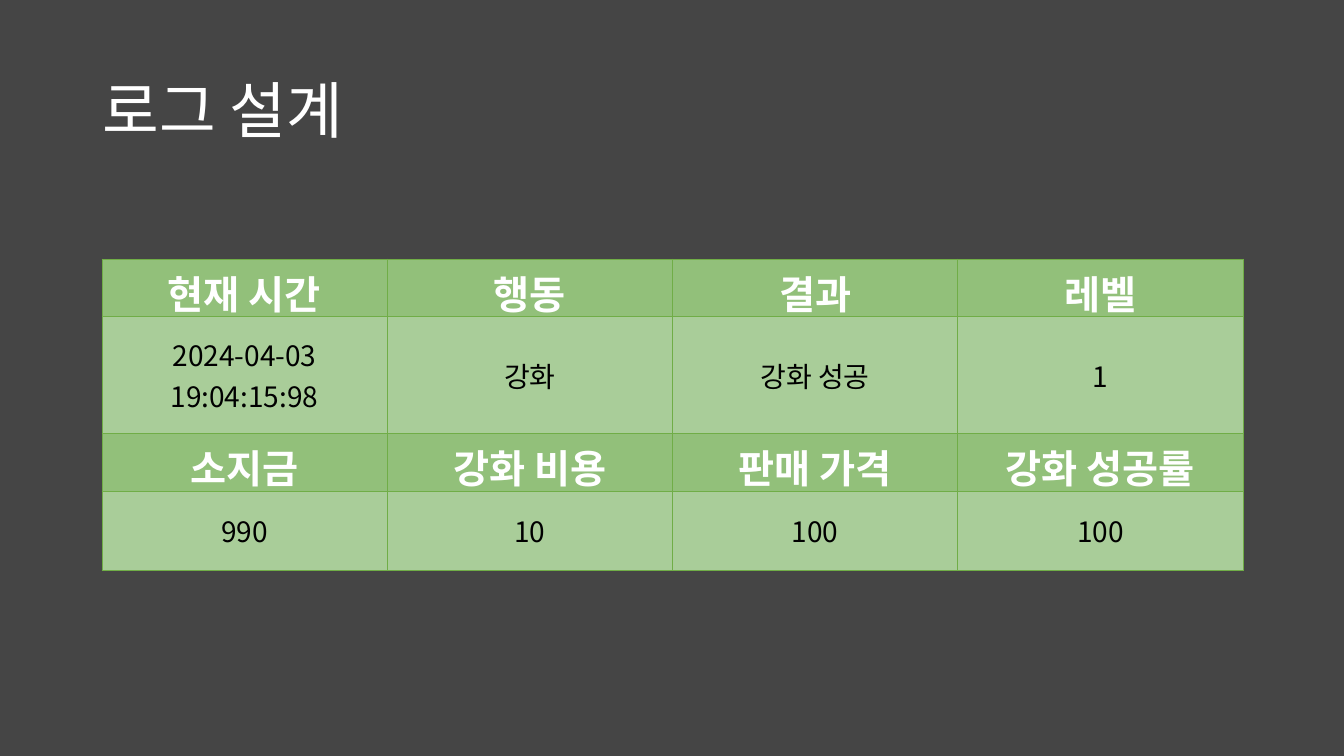
"""Build the log design slide with its table of log fields."""
from dataclasses import dataclass

from lxml.etree import SubElement
from pptx import Presentation
from pptx.dml.color import RGBColor as RGB
from pptx.enum.text import MSO_ANCHOR as Anchor, PP_ALIGN as Align
from pptx.oxml import parse_xml
from pptx.oxml.ns import nsdecls, qn
from pptx.util import Inches, Pt


@dataclass(frozen=True)
class TextStyle:
    size: int
    font: str
    color: str
    bold: bool = False


@dataclass(frozen=True)
class Theme:
    background: str = "454545"
    border: str = "70AD47"
    border_width: float = 0.5
    east_asian: str = "Noto Sans CJK KR"
    title: TextStyle = TextStyle(44, "Roboto", "FFFFFF")
    label: TextStyle = TextStyle(28, "Roboto", "FFFFFF", True)
    value: TextStyle = TextStyle(20, "Noto Sans CJK KR", "000000")


@dataclass(frozen=True)
class LogRow:
    height: float
    fill: str
    style: TextStyle
    texts: tuple[str, ...]


THEME = Theme()
LABEL_FILL, VALUE_FILL = "92C07A", "A9CD99"
LABEL_HEIGHT, COLUMN_WIDTH = 0.57, 2.83
LOG_ROWS = (
    LogRow(LABEL_HEIGHT, LABEL_FILL, THEME.label, ("현재 시간", "행동", "결과", "레벨")),
    LogRow(1.16, VALUE_FILL, THEME.value,
           ("2024-04-03 19:04:15:98", "강화", "강화 성공", "1")),
    LogRow(LABEL_HEIGHT, LABEL_FILL, THEME.label,
           ("소지금", "강화 비용", "판매 가격", "강화 성공률")),
    LogRow(0.79, VALUE_FILL, THEME.value, ("990", "10", "100", "100")),
)


def write_text(tf, text: str, style: TextStyle, paragraph_format: dict) -> None:
    """Write one styled paragraph into a text frame."""
    p = tf.paragraphs[0]
    for name, value in paragraph_format.items():
        setattr(p, name, value)
    r = p.add_run()
    r.text = text
    font_format = {"size": Pt(style.size), "name": style.font, "bold": style.bold}
    for name, value in font_format.items():
        setattr(r.font, name, value)
    r.font.color.rgb = RGB.from_string(style.color)
    SubElement(r.font._element, qn("a:ea"), typeface=THEME.east_asian)


def add_borders(cell) -> None:
    """Put a thin line on each side of a cell."""
    tc_pr = cell._tc.get_or_add_tcPr()
    for index, side in enumerate("LRTB"):
        tc_pr.insert(index, parse_xml(
            f'<a:ln{side} {nsdecls("a")} w="{Pt(THEME.border_width)}"><a:solidFill>'
            f'<a:srgbClr val="{THEME.border}"/></a:solidFill></a:ln{side}>'))


def add_title(s, text: str) -> None:
    """Add the slide title."""
    tf = s.shapes.add_textbox(
        Inches(0.92), Inches(0.4), Inches(11.5), Inches(1.45)).text_frame
    tf.word_wrap = True
    tf.vertical_anchor = Anchor.MIDDLE
    write_text(tf, text, THEME.title, {"line_spacing": 0.9})


def add_log_table(s, rows: tuple[LogRow, ...]) -> None:
    """Add the table of alternating label and value rows."""
    columns = len(rows[0].texts)
    table = s.shapes.add_table(
        len(rows), columns, Inches(1.01), Inches(2.57),
        Inches(COLUMN_WIDTH * columns), Inches(sum(row.height for row in rows))).table
    for name in ("first_row", "horz_banding"):
        setattr(table, name, False)
    for column in table.columns:
        column.width = Inches(COLUMN_WIDTH)
    for i, row in enumerate(rows):
        table.rows[i].height = Inches(row.height)
        for j, text in enumerate(row.texts):
            cell = table.cell(i, j)
            cell.vertical_anchor = Anchor.MIDDLE
            cell.fill.solid()
            cell.fill.fore_color.rgb = RGB.from_string(row.fill)
            add_borders(cell)
            write_text(cell.text_frame, text, row.style, {"alignment": Align.CENTER})


def main() -> None:
    """Build and save the presentation."""
    prs = Presentation()
    prs.slide_width, prs.slide_height = Inches(13.33), Inches(7.5)
    s = prs.slides.add_slide(prs.slide_layouts[6])
    s.background.fill.solid()
    s.background.fill.fore_color.rgb = RGB.from_string(THEME.background)
    add_title(s, "로그 설계")
    add_log_table(s, LOG_ROWS)
    prs.save("out.pptx")


if __name__ == "__main__":
    main()
